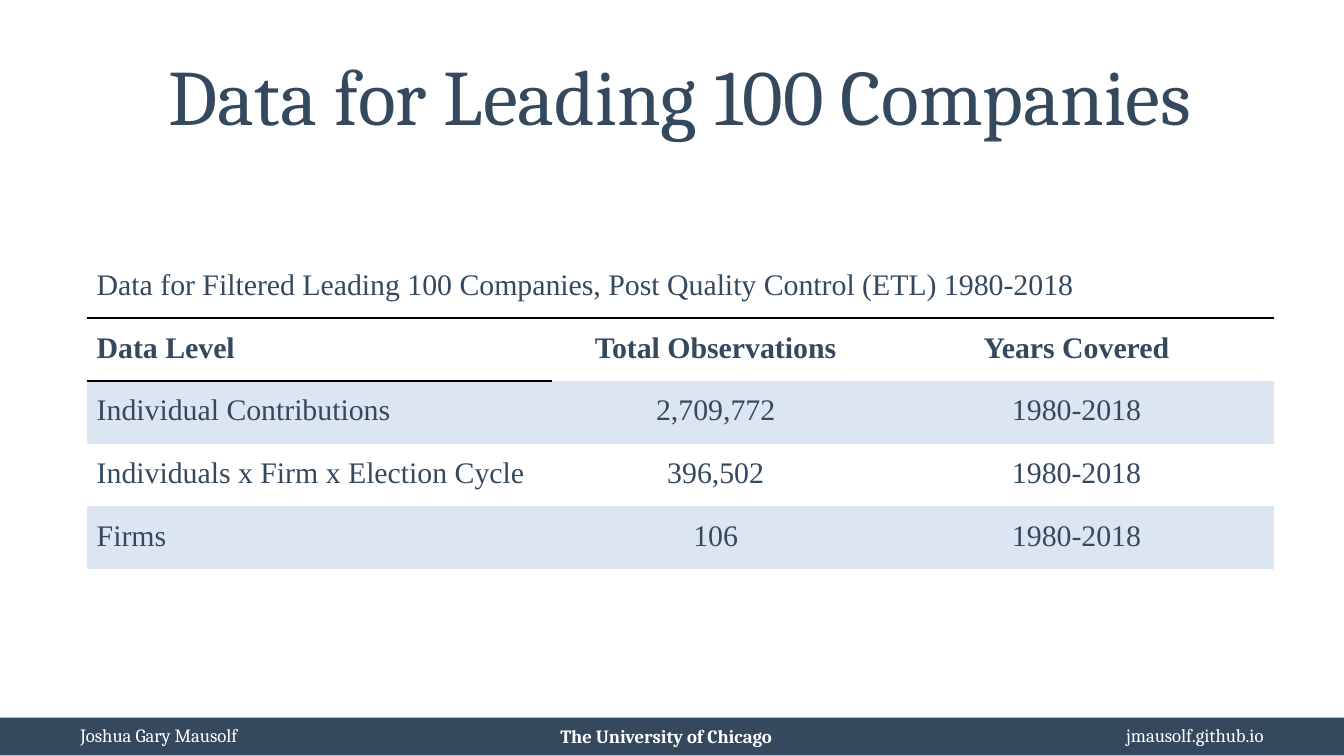
from typing import NamedTuple

from pptx import Presentation
from pptx.dml.color import RGBColor
from pptx.enum.shapes import MSO_SHAPE
from pptx.enum.text import MSO_ANCHOR, PP_ALIGN
from pptx.oxml import parse_xml
from pptx.oxml.ns import nsdecls, qn
from pptx.util import Inches, Pt

HUES = {"navy": "34495E", "white": "FFFFFF", "band": "DCE6F2", "rule": "000000"}
PLAIN = "{2D5ABB26-0587-4C30-8999-92F81FD0307C}"
LEFT, MID, RIGHT = PP_ALIGN.LEFT, PP_ALIGN.CENTER, PP_ALIGN.RIGHT


class Label(NamedTuple):
    """Text box with its place and format."""
    text: str
    box: tuple
    align: PP_ALIGN
    size: float = 10
    hue: str = "white"
    bold: bool = False
    anchor: MSO_ANCHOR = MSO_ANCHOR.MIDDLE
    pad: float = 0.05


class Row(NamedTuple):
    """Table row with its look."""
    cells: tuple
    bold: bool = False
    band: bool = False


LABELS = [
    Label("The University of Chicago", (2.45, 5.27, 5.01, 0.41), MID, bold=True),
    Label("jmausolf.github.io", (7.86, 5.32, 1.64, 0.3), RIGHT),
    Label("Joshua Gary Mausolf", (0.5, 5.32, 2.07, 0.3), LEFT),
    Label("Data for Leading 100 Companies", (0.22, 0.39, 9.68, 0.76), MID,
          size=42, hue="navy", anchor=MSO_ANCHOR.BOTTOM, pad=0.1),
]
YEARS = "1980-2018"
ROWS = [
    Row((f"Data for Filtered Leading 100 Companies, Post Quality Control (ETL) {YEARS}",)),
    Row(("Data Level", "Total Observations", "Years Covered"), bold=True),
    Row(("Individual Contributions", "2,709,772", YEARS), band=True),
    Row(("Individuals x Firm x Election Cycle", "396,502", YEARS)),
    Row(("Firms", "106", YEARS), band=True),
]
WIDTHS = (3.46, 2.43, 2.94)
TALL = 0.4


def write(frame, text: str, *, size: float, hue: str, align: PP_ALIGN,
          font: str = "Cambria", bold: bool = False) -> None:
    """Put one formatted paragraph in a text frame."""
    para = frame.paragraphs[0]
    para.alignment = align
    run = para.add_run()
    run.text = text
    run.font.name, run.font.size, run.font.bold = font, Pt(size), bold
    run.font.color.rgb = RGBColor.from_string(HUES[hue])


def draw_bar(slide) -> None:
    """Draw the footer bar."""
    bar = slide.shapes.add_shape(MSO_SHAPE.RECTANGLE, Inches(0), Inches(5.34),
                                 Inches(10), Inches(0.28))
    bar.shadow.inherit = False
    bar.fill.solid()
    bar.fill.fore_color.rgb = RGBColor.from_string(HUES["navy"])
    bar.line.fill.background()


def draw_label(slide, label: Label) -> None:
    """Draw one text box."""
    frame = slide.shapes.add_textbox(*map(Inches, label.box)).text_frame
    frame.word_wrap = True
    frame.vertical_anchor = label.anchor
    frame.margin_top = frame.margin_bottom = Inches(label.pad)
    write(frame, label.text, size=label.size, hue=label.hue,
          align=label.align, bold=label.bold)


def add_rule(cell, side: str) -> None:
    """Add a thin border to one side of a cell."""
    line = parse_xml(f'<a:{side} {nsdecls("a")} w="12700"><a:solidFill>'
                     f'<a:srgbClr val="{HUES["rule"]}"/></a:solidFill></a:{side}>')
    cell._tc.get_or_add_tcPr().insert(0, line)


def draw_table(slide, rows: list[Row]) -> None:
    """Draw the data table under its caption row."""
    table = slide.shapes.add_table(
        len(rows), len(WIDTHS), Inches(0.65), Inches(1.9),
        Inches(sum(WIDTHS)), Inches(TALL * len(rows))).table
    table.first_row = table.horz_banding = False
    table._tbl.tblPr.find(qn("a:tableStyleId")).text = PLAIN
    for col, width in zip(table.columns, WIDTHS):
        col.width = Inches(width)
    for i, row in enumerate(rows):
        table.rows[i].height = Inches(TALL)
        for j, text in enumerate(row.cells):
            cell = table.cell(i, j)
            cell.margin_left = cell.margin_right = Inches(0.07)
            cell.margin_top = cell.margin_bottom = Inches(0.1)
            write(cell.text_frame, text, size=16, hue="navy", bold=row.bold,
                  align=MID if j else LEFT, font="Times New Roman")
            if row.band:
                cell.fill.solid()
                cell.fill.fore_color.rgb = RGBColor.from_string(HUES["band"])
            else:
                cell.fill.background()
    table.cell(0, 0).merge(table.cell(0, len(WIDTHS) - 1))
    add_rule(table.cell(0, 0), "lnB")
    add_rule(table.cell(1, 0), "lnT")


def main() -> None:
    """Build and save the slide."""
    deck = Presentation()
    deck.slide_width = Inches(10)
    deck.slide_height = deck.slide_width * 9 // 16
    slide = deck.slides.add_slide(deck.slide_layouts[6])
    draw_bar(slide)
    for label in LABELS:
        draw_label(slide, label)
    draw_table(slide, ROWS)
    deck.save("out.pptx")


if __name__ == "__main__":
    main()
